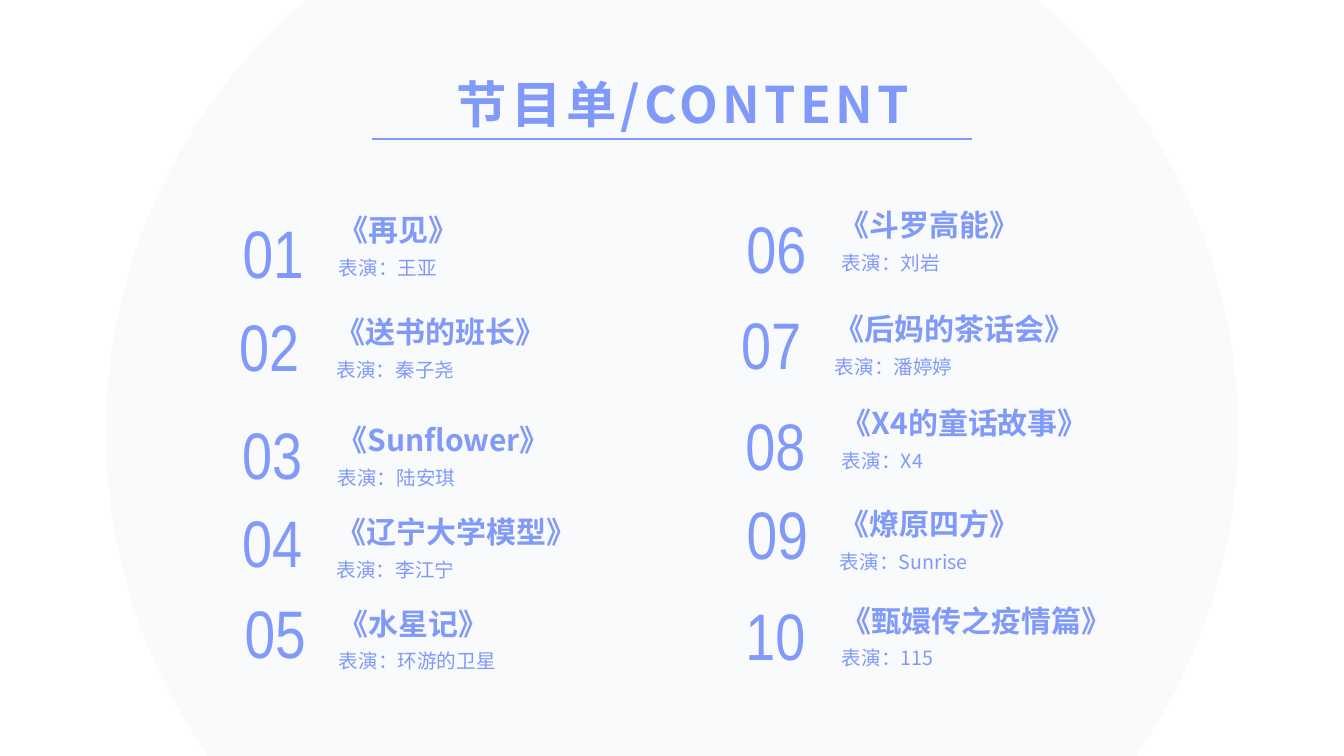
from dataclasses import dataclass

from lxml import etree
from pptx import Presentation
from pptx import util as u
from pptx.dml.color import RGBColor
from pptx.enum import shapes, text
from pptx.oxml import ns

BLUE = RGBColor(0x81, 0x9A, 0xFA)
PALE = RGBColor(0xF9, 0xFA, 0xFC)
WHITE = RGBColor(0xFF, 0xFF, 0xFF)
SANS = "Noto Sans CJK SC"
SLIM = "Arial Narrow"
MID = text.MSO_ANCHOR.MIDDLE
LOW = text.MSO_ANCHOR.BOTTOM
CENTER = text.PP_ALIGN.CENTER
WIDE = 4.33  # width of the title and cast boxes
INSET = dict(margin_left=u.Inches(0.52), margin_right=0, margin_top=0, margin_bottom=0)


@dataclass
class Act:
    """One act: number corner and size, title corner and height, cast left."""
    num_x: float
    num_y: float
    size: int
    left: float
    top: float
    high: float
    cast_x: float
    title: str
    cast: str


ACTS = [
    Act(2.21, 2.11, 48, 2.84, 1.53, 0.93, 2.84, "再见", "王亚"),
    Act(2.17, 3.04, 47, 2.81, 2.54, 0.93, 2.82, "送书的班长", "秦子尧"),
    Act(2.20, 4.11, 47, 2.83, 3.87, 0.67, 2.83, "Sunflower", "陆安琪"),
    Act(2.20, 4.98, 47, 2.82, 4.83, 0.62, 2.82, "辽宁大学模型", "李江宁"),
    Act(2.23, 5.88, 48, 2.84, 5.77, 0.59, 2.84, "水星记", "环游的卫星"),
    Act(7.20, 2.07, 47, 7.81, 1.48, 0.93, 7.83, "斗罗高能", "刘岩"),
    Act(7.15, 3.02, 47, 7.76, 2.77, 0.67, 7.76, "后妈的茶话会", "潘婷婷"),
    Act(7.19, 4.02, 47, 7.83, 3.75, 0.62, 7.83, "X4的童话故事", "X4"),
    Act(7.21, 4.90, 48, 7.81, 4.78, 0.59, 7.81, "燎原四方", "Sunrise"),
    Act(7.19, 5.91, 47, 7.83, 5.74, 0.59, 7.83, "甄嬛传之疫情篇", "115"),
]


def put(items, words: str, box: tuple, face: str, size: float, frame: dict,
        para: dict, bold: bool = False):
    """Add a one-line text box and return its run."""
    body = items.add_textbox(*map(u.Inches, box)).text_frame
    for key, val in frame.items():
        setattr(body, key, val)
    line = body.paragraphs[0]
    for key, val in para.items():
        setattr(line, key, val)
    run = line.add_run()
    run.text = words
    for key, val in dict(name=face, size=u.Pt(size), bold=bold).items():
        setattr(run.font, key, val)
    run.font.color.rgb = BLUE
    east = etree.SubElement(run._r.get_or_add_rPr(), ns.qn("a:ea"))
    east.set("typeface", face)
    return run


def draw_act(slide, num: int, act: Act) -> None:
    items = slide.shapes.add_group_shape().shapes
    put(items, f"{num:02}", (act.num_x, act.num_y, 1, 0.77), SLIM, act.size,
        dict(vertical_anchor=MID, word_wrap=False), dict(alignment=CENTER))
    put(items, f"《{act.title}》", (act.left, act.top, WIDE, act.high), SANS, 21.4,
        dict(INSET, vertical_anchor=LOW, word_wrap=False), {}, True)
    put(items, f"表演：{act.cast}", (act.cast_x, act.top + act.high, WIDE, 0.35),
        SANS, 14, dict(INSET, vertical_anchor=MID, word_wrap=True),
        dict(line_spacing=1.2))


def draw_back(slide) -> None:
    slide.background.fill.solid()
    slide.background.fill.fore_color.rgb = WHITE
    disc = slide.shapes.add_shape(
        shapes.MSO_SHAPE.OVAL, *map(u.Inches, (1.05, -1.33, 11.23, 11.23)))
    disc.shadow.inherit = False
    disc.fill.solid()
    disc.fill.fore_color.rgb = PALE
    tint = disc.fill._xPr.find(".//" + ns.qn("a:srgbClr"))
    etree.SubElement(tint, ns.qn("a:alpha")).set("val", "87000")
    disc.line.fill.background()


def draw_head(slide) -> None:
    run = put(slide.shapes, "节目单/CONTENT", (4.37, 0.37, 4.81, 1.01), SANS, 36,
              dict(vertical_anchor=MID, word_wrap=True,
                   auto_size=text.MSO_AUTO_SIZE.SHAPE_TO_FIT_TEXT),
              dict(alignment=CENTER, line_spacing=1.5), True)
    run._r.get_or_add_rPr().set("spc", "300")
    rule = slide.shapes.add_connector(
        shapes.MSO_CONNECTOR.STRAIGHT, *map(u.Inches, (3.69, 1.38, 9.64, 1.38)))
    rule.line.color.rgb = BLUE
    rule.line.width = u.Pt(1.5)
    etree.SubElement(rule._element.spPr, ns.qn("a:effectLst"))


def main() -> None:
    deck = Presentation()
    deck.slide_width, deck.slide_height = u.Inches(13.33), u.Inches(7.5)
    slide = deck.slides.add_slide(deck.slide_layouts[6])
    # Backdrop and heading
    draw_back(slide)
    draw_head(slide)
    # Programme
    for num, act in enumerate(ACTS, 1):
        draw_act(slide, num, act)
    deck.save("out.pptx")


if __name__ == "__main__":
    main()
